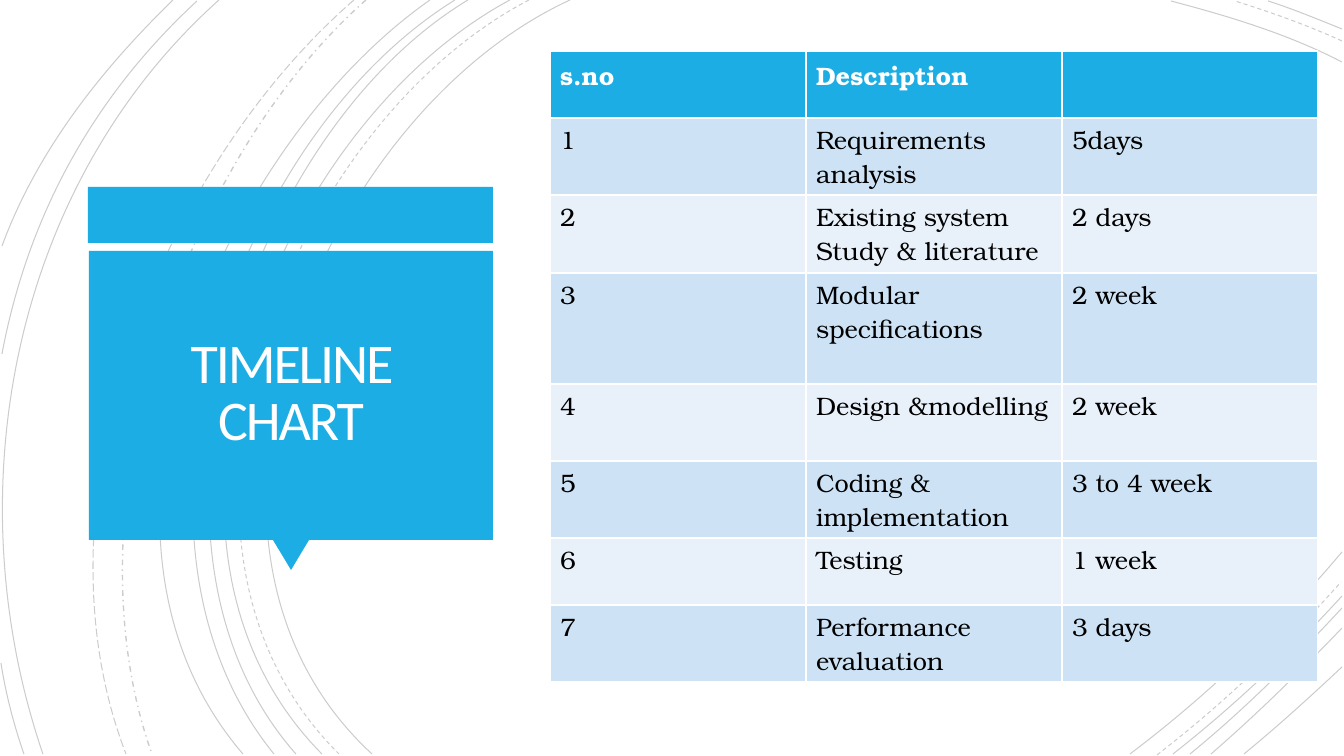
"""Build the timeline chart slide: arc backdrop, title callout and schedule table."""
from typing import NamedTuple

from lxml import etree
from pptx import Presentation
from pptx.dml.color import RGBColor
from pptx.enum.dml import MSO_LINE
from pptx.enum.shapes import MSO_SHAPE
from pptx.enum.text import MSO_ANCHOR, PP_ALIGN
from pptx.oxml.ns import qn
from pptx.util import Emu, Pt

SCALE = 914400 / 100.8
SOLID, DASH = MSO_LINE.SOLID, MSO_LINE.DASH
DASH_DOT, LONG_DASH = MSO_LINE.DASH_DOT, MSO_LINE.LONG_DASH
RECTANGLE, TRIANGLE = MSO_SHAPE.RECTANGLE, MSO_SHAPE.ISOSCELES_TRIANGLE
CENTER, MIDDLE = PP_ALIGN.CENTER, MSO_ANCHOR.MIDDLE
TITLE_FONT, TABLE_FONT = "Calibri", "TeX Gyre Bonum"
COLORS = {
    "accent": "1CADE4", "title": "FFFEFF", "white": "FFFFFF", "ink": "000000",
    "odd_row": "CDE3F5", "even_row": "E8F1FA",
}
ARC_ALPHA = "20000"


class Point(NamedTuple):
    x: int
    y: int


class Arc(NamedTuple):
    start: Point
    control_1: Point
    control_2: Point
    end: Point
    dash: MSO_LINE = SOLID
    weight: float = 0.75


class Panel(NamedTuple):
    left: int
    top: int
    width: int
    height: int
    preset: MSO_SHAPE = RECTANGLE
    rotation: int = 0


class Task(NamedTuple):
    number: str
    description: str
    duration: str
    height: int


ARCS = [
    Arc(Point(570, 0), Point(318, 116), Point(144, 544), Point(372, 754)),
    Arc(Point(1342, 62), Point(1288, 34), Point(1228, 16), Point(1171, 1)),
    Arc(Point(1130, 754), Point(1207, 696), Point(1279, 627), Point(1342, 552)),
    Arc(Point(529, 0), Point(287, 126), Point(124, 541), Point(339, 754), DASH),
    Arc(Point(1342, 41), Point(1307, 25), Point(1270, 12), Point(1235, 1), DASH),
    Arc(Point(1157, 755), Point(1223, 704), Point(1285, 645), Point(1341, 582), DASH),
    Arc(Point(510, 0), Point(272, 128), Point(111, 541), Point(322, 754)),
    Arc(Point(1342, 29), Point(1317, 19), Point(1293, 9), Point(1268, 1)),
    Arc(Point(1173, 754), Point(1233, 707), Point(1290, 653), Point(1342, 596)),
    Arc(Point(468, 0), Point(246, 134), Point(111, 545), Point(296, 754)),
    Arc(Point(1190, 754), Point(1244, 710), Point(1294, 660), Point(1342, 608)),
    Arc(Point(455, 0), Point(231, 139), Point(98, 537), Point(274, 754)),
    Arc(Point(1211, 754), Point(1256, 715), Point(1300, 672), Point(1342, 628)),
    Arc(Point(430, 0), Point(219, 148), Point(53, 533), Point(243, 754)),
    Arc(Point(1244, 754), Point(1277, 727), Point(1309, 698), Point(1342, 667)),
    Arc(Point(366, 0), Point(177, 167), Point(66, 513), Point(152, 754), DASH_DOT, 1),
    Arc(Point(354, 0), Point(158, 170), Point(29, 503), Point(126, 754), LONG_DASH),
    Arc(Point(219, 0), Point(11, 186), Point(-46, 494), Point(43, 754)),
    Arc(Point(197, 1), Point(93, 97), Point(28, 216), Point(2, 354)),
    Arc(Point(1, 663), Point(6, 695), Point(14, 725), Point(24, 754)),
    Arc(Point(173, 0), Point(101, 70), Point(37, 151), Point(2, 246)),
]
PANELS = [
    Panel(88, 187, 405, 56),
    Panel(273, 540, 36, 30, TRIANGLE, 180),
    Panel(89, 251, 404, 289),
]
TITLE_AREA = Panel(98, 259, 386, 271)
TITLE_INSET = 25
SCHEDULE = [
    Task("s.no", "Description", "", 67),
    Task("1", "Requirements\nanalysis", "5days", 77),
    Task("2", "Existing system\nStudy & literature", "2 days", 78),
    Task("3", "Modular specifications", "2 week", 111),
    Task("4", "Design &modelling", "2 week", 77),
    Task("5", "Coding & implementation", "3 to 4 week", 77),
    Task("6", "Testing", "1 week", 67),
    Task("7", "Performance evaluation", "3 days", 77),
]
TABLE_LEFT, TABLE_TOP, COLUMN_WIDTH, COLUMN_COUNT = 550, 51, 256, 3


def px(length: int) -> Emu:
    return Emu(round(length * SCALE))


def color(key: str) -> RGBColor:
    return RGBColor.from_string(COLORS[key])


def draw_arc(slide, arc: Arc) -> None:
    builder = slide.shapes.build_freeform(*arc.start, scale=SCALE)
    builder.add_line_segments(arc[1:4], close=False)
    curve = builder.convert_to_shape()
    outline = next(curve._element.iter(qn("a:path")))
    bezier = etree.SubElement(outline, qn("a:cubicBezTo"))
    for segment in outline.findall(qn("a:lnTo")):
        bezier.append(segment[0])
        outline.remove(segment)
    curve.shadow.inherit = False
    curve.fill.background()
    curve.line.color.rgb = color("ink")
    curve.line.width = Pt(arc.weight)
    curve.line.dash_style = arc.dash
    tint = next(curve.line._ln.iter(qn("a:srgbClr")))
    etree.SubElement(tint, qn("a:alpha"), val=ARC_ALPHA)


def draw_panel(slide, panel: Panel) -> None:
    block = slide.shapes.add_shape(panel.preset, *map(px, panel[:4]))
    block.rotation = panel.rotation
    block.shadow.inherit = False
    block.fill.solid()
    block.fill.fore_color.rgb = color("accent")
    block.line.fill.background()


def draw_title(slide, text: str) -> None:
    frame = slide.shapes.add_textbox(*map(px, TITLE_AREA[:4])).text_frame
    frame.word_wrap = True
    frame.vertical_anchor = MIDDLE
    frame.margin_left = frame.margin_right = px(TITLE_INSET)
    frame.margin_top = frame.margin_bottom = px(TITLE_INSET)
    frame.text = text
    heading = frame.paragraphs[0]
    heading.alignment = CENTER
    heading.line_spacing = 0.85
    heading.font.name, heading.font.size = TITLE_FONT, Pt(40)
    heading.font.color.rgb = color("title")
    heading.runs[0].font._element.set("spc", "-150")


def draw_schedule(slide, tasks: list[Task]) -> None:
    table = slide.shapes.add_table(
        len(tasks), COLUMN_COUNT, px(TABLE_LEFT), px(TABLE_TOP),
        px(COLUMN_WIDTH * COLUMN_COUNT), px(sum(task.height for task in tasks)),
    ).table
    for column in table.columns:
        column.width = px(COLUMN_WIDTH)
    for row, task in enumerate(tasks):
        table.rows[row].height = px(task.height)
        is_header = row == 0
        band = "accent" if is_header else "odd_row" if row % 2 else "even_row"
        for column, text in enumerate(task[:COLUMN_COUNT]):
            cell = table.cell(row, column)
            cell.text = text
            cell.fill.solid()
            cell.fill.fore_color.rgb = color(band)
            for line in cell.text_frame.paragraphs:
                line.font.name, line.font.size = TABLE_FONT, Pt(18)
                line.font.bold = is_header
                line.font.color.rgb = color("white" if is_header else "ink")


def main() -> None:
    deck = Presentation()
    deck.slide_width, deck.slide_height = px(1344), px(756)
    slide = deck.slides.add_slide(deck.slide_layouts[6])
    for arc in ARCS:
        draw_arc(slide, arc)
    for panel in PANELS:
        draw_panel(slide, panel)
    draw_title(slide, "TIMELINE CHART")
    draw_schedule(slide, SCHEDULE)
    deck.save("out.pptx")


main()
